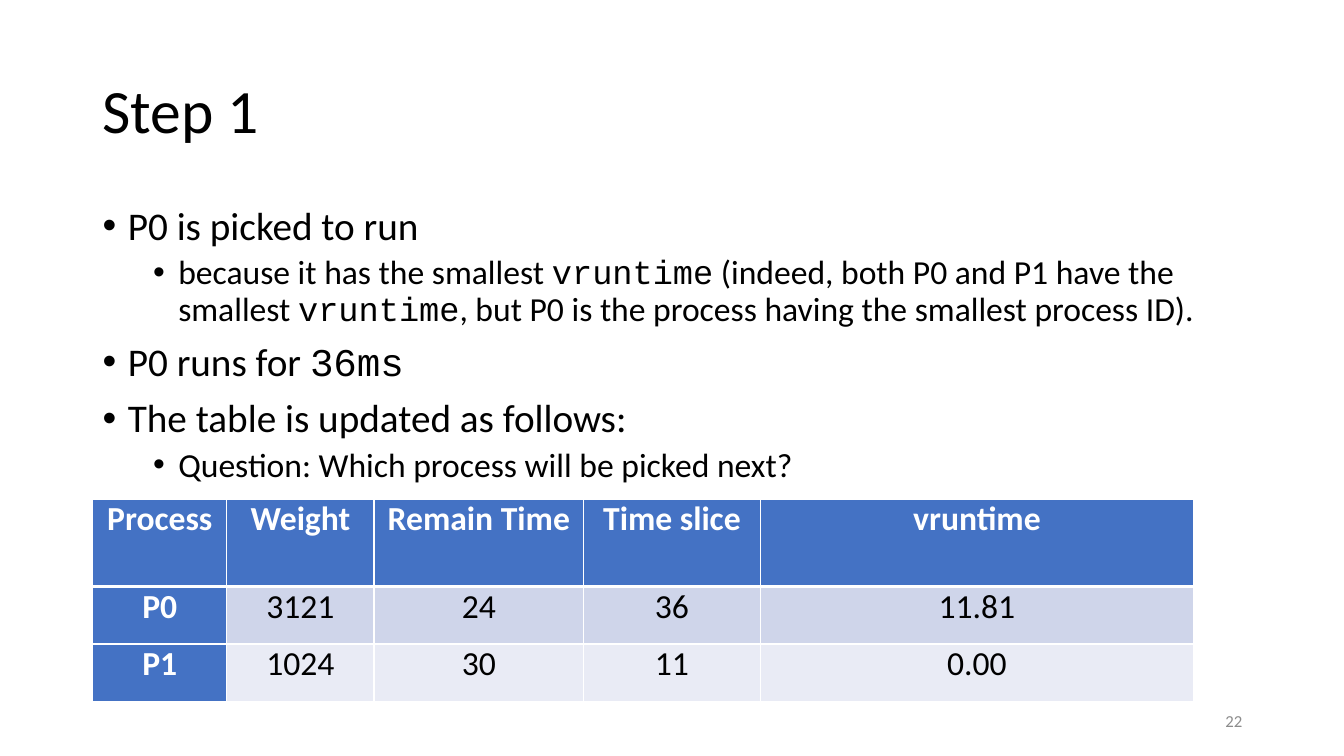
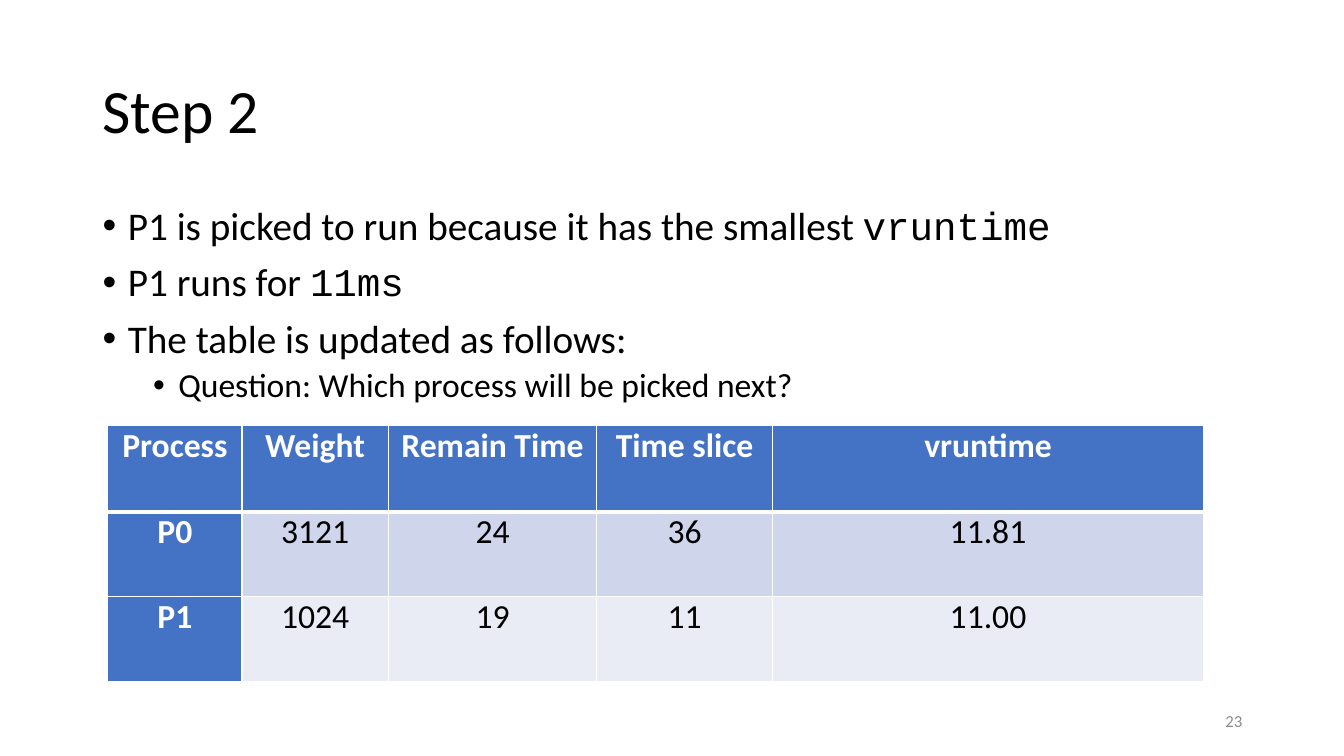
from lxml import etree
from pptx import Presentation
from pptx.dml.color import RGBColor
from pptx.enum import text
from pptx.oxml import ns
from pptx.util import Inches, Pt

COLORS = {
    "text": "000000",
    "white": "FFFFFF",
    "header": "4472C4",
    "odd_row": "CFD5EA",
    "even_row": "E9EBF5",
    "number": "8C8C8C",
}
BODY_FONT, CODE_FONT = "Calibri", "Courier New"
# Per bullet level: size, left indent, space before
LEVELS = [(28, 0.25, 10), (24, 0.75, 5)]
HANGING = 0.25

TITLE_BOX = (0.92, 0.4, 11.5, 1.45)
BODY_BOX = (0.92, 2, 11.5, 4.76)
NUMBER_BOX = (9.42, 6.95, 3, 0.4)
FIRST_NUMBER = 22

HEADINGS = ["Process", "Weight", "Remain Time", "Time slice", "vruntime"]
QUESTION = [
    (0, "The table is updated as follows:"),
    (1, "Question: Which process will be picked next?"),
]
# Backticks enclose words set in the code font
STEPS = [
    {
        "title": "Step 1",
        "bullets": [
            (0, "P0 is picked to run"),
            (1, "because it has the smallest `vruntime` (indeed, both P0 and P1 "
                "have the smallest `vruntime`, but P0 is the process having the "
                "smallest process ID)."),
            (0, "P0 runs for `36ms`"),
        ] + QUESTION,
        "rows": [
            ["P0", "3121", "24", "36", "11.81"],
            ["P1", "1024", "30", "11", "0.00"],
        ],
        "corner": (0.92, 4.95),
        "widths": [1.33, 1.46, 2.08, 1.75, 4.3],
        "heights": [0.87, 0.57, 0.57],
    },
    {
        "title": "Step 2",
        "bullets": [
            (0, "P1 is picked to run because it has the smallest `vruntime`"),
            (0, "P1 runs for `11ms`"),
        ] + QUESTION,
        "rows": [
            ["P0", "3121", "24", "36", "11.81"],
            ["P1", "1024", "19", "11", "11.00"],
        ],
        "corner": (1.07, 4.22),
        "widths": [1.33, 1.45, 2.07, 1.74, 4.28],
        "heights": [0.86, 0.84, 0.84],
    },
]


def style_font(font, size, color, bold=False):
    """Set the body font with a size, colour and weight."""
    font.name, font.size, font.bold = BODY_FONT, Pt(size), bold
    font.color.rgb = RGBColor.from_string(COLORS[color])


def add_text_frame(slide, box, anchor):
    """Add a wrapping text box and return its text frame."""
    frame = slide.shapes.add_textbox(*map(Inches, box)).text_frame
    frame.word_wrap = True
    frame.vertical_anchor = anchor
    return frame


def add_line(slide, box, wording, size, color, align):
    """Add one vertically centred line of text and return its paragraph."""
    frame = add_text_frame(slide, box, text.MSO_ANCHOR.MIDDLE)
    paragraph = frame.paragraphs[0]
    paragraph.text, paragraph.alignment = wording, align
    style_font(paragraph.font, size, color)
    return paragraph


def add_bullets(slide, bullets):
    """Add the two-level bullet list."""
    frame = add_text_frame(slide, BODY_BOX, text.MSO_ANCHOR.TOP)
    for index, (level, wording) in enumerate(bullets):
        paragraph = frame.add_paragraph() if index else frame.paragraphs[0]
        size, indent, space = LEVELS[level]
        paragraph.level = level
        paragraph.line_spacing, paragraph.space_before = 0.9, Pt(space)
        style_font(paragraph.font, size, "text")
        properties = paragraph._p.get_or_add_pPr()
        properties.set("marL", str(Inches(indent)))
        properties.set("indent", str(-Inches(HANGING)))
        bullet_font = etree.Element(ns.qn("a:buFont"), typeface="Arial")
        bullet = etree.Element(ns.qn("a:buChar"), char="•")
        default_run = properties.find(ns.qn("a:defRPr"))
        default_run.addprevious(bullet_font)
        default_run.addprevious(bullet)
        for part, words in enumerate(wording.split("`")):
            if words:
                run = paragraph.add_run()
                run.text = words
                style_font(run.font, size, "text")
                if part % 2:
                    run.font.name = CODE_FONT


def add_borders(cell, widths):
    """Draw white borders; widths maps a side letter to points."""
    properties = cell._tc.get_or_add_tcPr()
    for side, width in widths.items():
        line = etree.SubElement(properties, ns.qn(f"a:ln{side}"), w=str(Pt(width)))
        fill = etree.SubElement(line, ns.qn("a:solidFill"))
        etree.SubElement(fill, ns.qn("a:srgbClr"), val=COLORS["white"])


def fill_cell(cell, wording, row, column):
    """Write and style one table cell according to its place."""
    heading = row == 0 or column == 0
    cell.margin_left = cell.margin_right = Inches(0.07)
    cell.margin_top = cell.margin_bottom = 0
    add_borders(cell, {"L": 1, "R": 1, "T": 3 if row == 1 else 1,
                       "B": 3 if row == 0 else 1})
    fill = "header" if heading else "odd_row" if row % 2 else "even_row"
    cell.fill.solid()
    cell.fill.fore_color.rgb = RGBColor.from_string(COLORS[fill])
    paragraph = cell.text_frame.paragraphs[0]
    paragraph.text, paragraph.alignment = wording, text.PP_ALIGN.CENTER
    style_font(paragraph.font, 24, "white" if heading else "text", heading)
    style_font(paragraph.runs[0].font, 24, "white" if heading else "text", heading)


def add_process_table(slide, step):
    """Add the table of processes."""
    rows = [HEADINGS] + step["rows"]
    widths, heights = step["widths"], step["heights"]
    box = (*step["corner"], sum(widths), sum(heights))
    table = slide.shapes.add_table(len(rows), len(HEADINGS), *map(Inches, box)).table
    table.first_col = True
    for column, width in zip(table.columns, widths):
        column.width = Inches(width)
    for row_index, (values, height) in enumerate(zip(rows, heights)):
        table.rows[row_index].height = Inches(height)
        for column_index, value in enumerate(values):
            fill_cell(table.cell(row_index, column_index), value,
                      row_index, column_index)


def build():
    """Build and save the presentation."""
    presentation = Presentation()
    presentation.slide_width, presentation.slide_height = Inches(13.33), Inches(7.5)
    for number, step in enumerate(STEPS, FIRST_NUMBER):
        slide = presentation.slides.add_slide(presentation.slide_layouts[6])
        title = add_line(slide, TITLE_BOX, step["title"], 44, "text", text.PP_ALIGN.LEFT)
        title.line_spacing = 0.9
        add_bullets(slide, step["bullets"])
        add_line(slide, NUMBER_BOX, str(number), 12, "number", text.PP_ALIGN.RIGHT)
        add_process_table(slide, step)
    presentation.save("out.pptx")


build()
